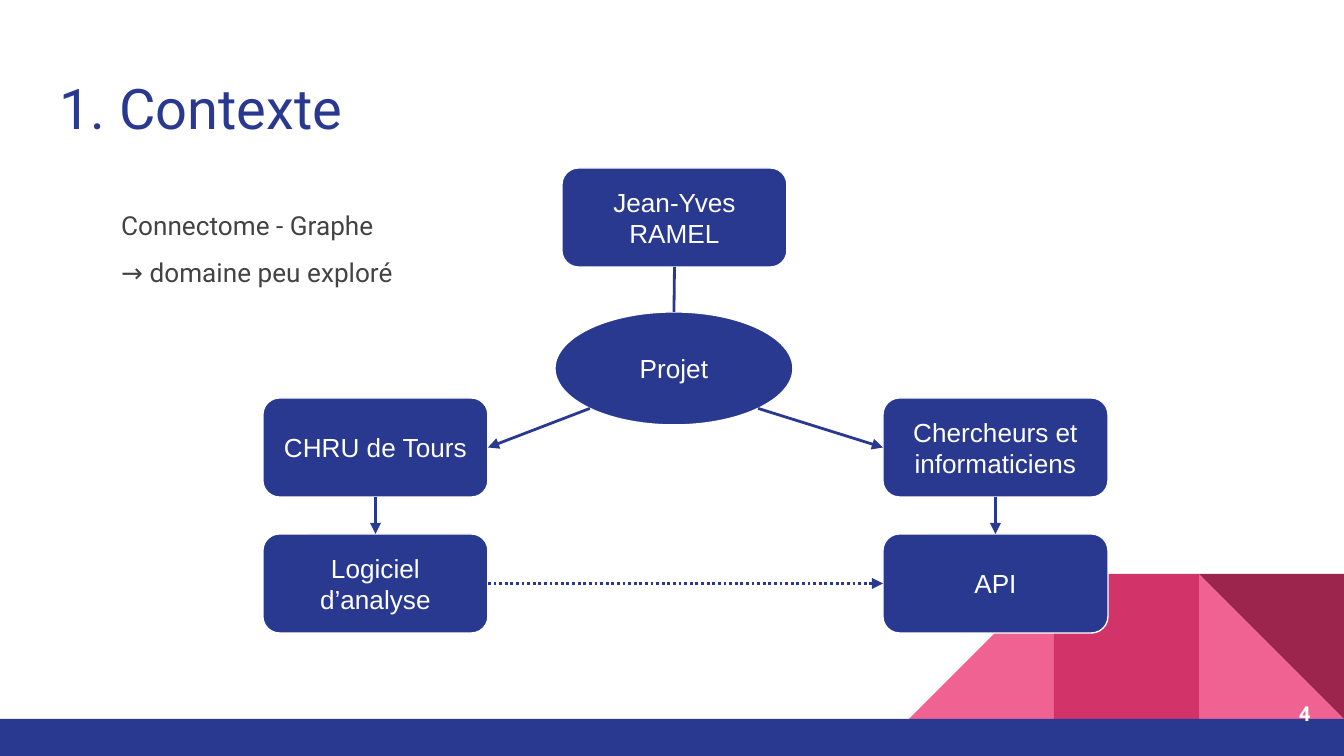
import math

import pptx
import pptx.dml.color
import pptx.enum.dml
import pptx.enum.shapes
import pptx.enum.text
import pptx.oxml
import pptx.oxml.ns
import pptx.util

RGB = pptx.dml.color.RGBColor
SHAPE = pptx.enum.shapes.MSO_SHAPE
ALIGN = pptx.enum.text.PP_ALIGN
ANCHOR = pptx.enum.text.MSO_ANCHOR
DOT = pptx.enum.dml.MSO_LINE.ROUND_DOT

BLUE = RGB(0x2A, 0x39, 0x90)
PINK = RGB(0xF0, 0x62, 0x92)
ROSE = RGB(0xD2, 0x33, 0x69)
WINE = RGB(0x9C, 0x25, 0x4D)
GREY = RGB(0x43, 0x43, 0x43)
WHITE = RGB(0xFF, 0xFF, 0xFF)

TITLE = "1. Contexte"
REMARKS = "Connectome - Graphe\n→ domaine peu exploré"
PAGE = "4"

# Slide and diagram measures, in px
WIDTH, HEIGHT, PX_PER_INCH = 1344, 756, 134.4
BAR_TOP, TILE = 719, 145
BOX_W, BOX_H = 225, 99
LEFT, MIDDLE, RIGHT = 263, 562, 883
TOP_ROW, UPPER_ROW, LOWER_ROW = 168, 398, 534
PROJECT_BOX = (555, 312, 238, 113)

# Tiles: column from the right edge, shape, rotation, colour
TILES = [
    (1, SHAPE.RIGHT_TRIANGLE, 0, PINK),
    (3, SHAPE.RIGHT_TRIANGLE, 270, PINK),
    (2, SHAPE.RECTANGLE, 0, ROSE),
    (1, SHAPE.RIGHT_TRIANGLE, 180, WINE),
]
BOXES = [
    ("Jean-Yves RAMEL", MIDDLE, TOP_ROW),
    ("CHRU de Tours", LEFT, UPPER_ROW),
    ("Chercheurs et informaticiens", RIGHT, UPPER_ROW),
    ("Logiciel d’analyse", LEFT, LOWER_ROW),
    ("API", RIGHT, LOWER_ROW),
]
TOP, LEFT_SIDE, BOTTOM, RIGHT_SIDE = range(4)
# Links: from, side, to, side, arrow, dotted
LINKS = [
    ("Jean-Yves RAMEL", BOTTOM, "Projet", TOP, False, False),
    ("CHRU de Tours", BOTTOM, "Logiciel d’analyse", TOP, True, False),
    ("Chercheurs et informaticiens", BOTTOM, "API", TOP, True, False),
    ("Logiciel d’analyse", RIGHT_SIDE, "API", LEFT_SIDE, True, True),
]
# Branches of the project: direction, target, side
BRANCHES = [
    (-1, "CHRU de Tours", RIGHT_SIDE),
    (1, "Chercheurs et informaticiens", LEFT_SIDE),
]


def px(length):
    return pptx.util.Emu(round(length * 914400 / PX_PER_INCH))


def write(shape, text, size, color, font="Roboto", align=ALIGN.LEFT,
          anchor=ANCHOR.TOP, bold=False, spacing=None):
    frame = shape.text_frame
    frame.text = text
    frame.word_wrap = True
    frame.auto_size = pptx.enum.text.MSO_AUTO_SIZE.NONE
    frame.vertical_anchor = anchor
    frame.margin_left = frame.margin_right = pptx.util.Inches(0.1)
    frame.margin_top = frame.margin_bottom = pptx.util.Inches(0.1)
    for paragraph in frame.paragraphs:
        paragraph.alignment = align
        paragraph.line_spacing = spacing
        for run in paragraph.runs:
            run.font.name = font
            run.font.size = pptx.util.Pt(size)
            run.font.bold = bold
            run.font.color.rgb = color


def add_filled(kind, place, color):
    shape = slide.shapes.add_shape(kind, *map(px, place))
    shape.shadow.inherit = False
    shape.fill.solid()
    shape.fill.fore_color.rgb = color
    shape.line.fill.background()
    return shape


def add_node(kind, label, place):
    node = add_filled(kind, place, BLUE)
    node.line.color.rgb = WHITE
    node.line.width = pptx.util.Pt(0.75)
    write(node, label, 14, WHITE, "Arial", ALIGN.CENTER, ANCHOR.MIDDLE)
    return node


def add_link(target, side, arrow=True, dotted=False, start=(0, 0)):
    link = slide.shapes.add_connector(
        pptx.enum.shapes.MSO_CONNECTOR.STRAIGHT, *map(px, start), 0, 0)
    link.end_connect(target, side)
    link.line.color.rgb = BLUE
    link.line.width = pptx.util.Pt(1.5)
    if dotted:
        link.line.dash_style = DOT
    if arrow:
        tail = pptx.oxml.parse_xml(
            f'<a:tailEnd {pptx.oxml.ns.nsdecls("a")} type="triangle"/>')
        link.line._get_or_add_ln().append(tail)
    link._element.spPr.append(pptx.oxml.parse_xml(
        f'<a:effectLst {pptx.oxml.ns.nsdecls("a")}/>'))
    return link


deck = pptx.Presentation()
deck.slide_width, deck.slide_height = px(WIDTH), px(HEIGHT)
slide = deck.slides.add_slide(deck.slide_layouts[5])

for column, kind, rotation, color in TILES:
    place = (WIDTH - column * TILE, BAR_TOP - TILE, TILE, TILE)
    add_filled(kind, place, color).rotation = rotation
add_filled(SHAPE.RECTANGLE, (0, BAR_TOP, WIDTH, HEIGHT - BAR_TOP), BLUE)

title = slide.shapes.title
title.left, title.top, title.width, title.height = map(px, (46, 60, 1253, 89))
write(title, TITLE, 30, BLUE)

remarks = slide.shapes.add_textbox(*map(px, (108, 180, 312, 121)))
write(remarks, REMARKS, 14, GREY, spacing=1.5)

page = slide.shapes.add_textbox(*map(px, (1243, 684, 81, 58)))
write(page, PAGE, 11, WHITE, align=ALIGN.RIGHT, anchor=ANCHOR.MIDDLE, bold=True)

nodes = {label: add_node(SHAPE.ROUNDED_RECTANGLE, label, (x, y, BOX_W, BOX_H))
         for label, x, y in BOXES}
nodes["Projet"] = add_node(SHAPE.OVAL, "Projet", PROJECT_BOX)

for source, source_side, target, target_side, arrow, dotted in LINKS:
    link = add_link(nodes[target], target_side, arrow, dotted)
    link.begin_connect(nodes[source], source_side)

x, y, width, height = PROJECT_BOX
diagonal = math.sqrt(0.5)
for direction, target, side in BRANCHES:
    start = (x + width / 2 * (1 + direction * diagonal),
             y + height / 2 * (1 + diagonal))
    add_link(nodes[target], side, start=start)

deck.save("out.pptx")
